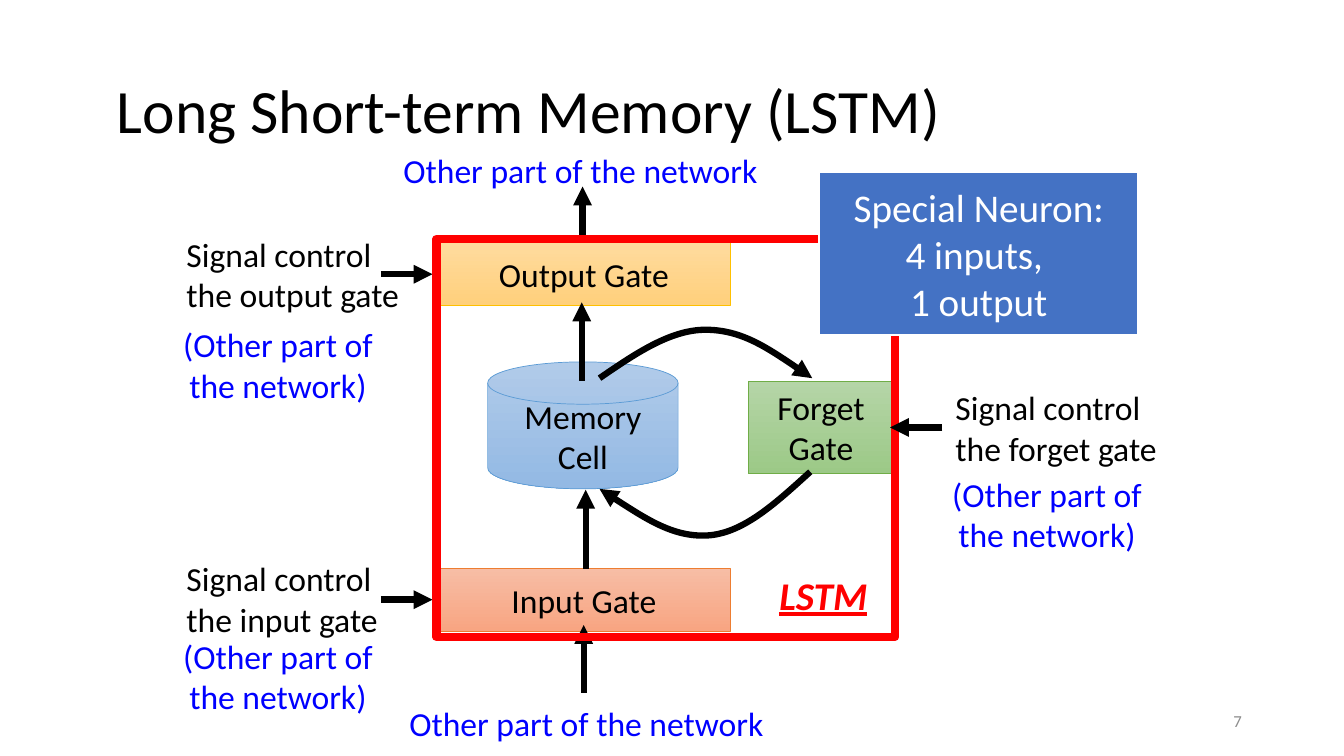
from pptx import Presentation
from pptx import util as u
from pptx.dml.color import RGBColor
from pptx.enum import shapes, text
from pptx.oxml import ns
from lxml import etree

COLOURS = {
    "ink": "000000", "white": "FFFFFF", "note": "0000FF", "frame": "FF0000",
    "neuron": "4472C4", "number": "8C8C8C",
    "blue top": "B1CBE9", "blue bottom": "93B9E4", "blue line": "5B9BD5",
    "orange top": "F7BDA5", "orange bottom": "F8A582", "orange line": "ED7D31",
    "gold top": "FFDB9E", "gold bottom": "FFD07C", "gold line": "FFC000",
    "green top": "B5D5A7", "green bottom": "9CC987", "green line": "70AD47",
}
LEFT, CENTER, RIGHT = text.PP_ALIGN.LEFT, text.PP_ALIGN.CENTER, text.PP_ALIGN.RIGHT
TOP, MIDDLE = text.MSO_ANCHOR.TOP, text.MSO_ANCHOR.MIDDLE
RECTANGLE = shapes.MSO_SHAPE.RECTANGLE
DISK = shapes.MSO_SHAPE.FLOWCHART_MAGNETIC_DISK


def colour(name):
    return RGBColor.from_string(COLOURS[name])


def lengths(values):
    return [u.Cm(value) for value in values]


class SlideBuilder:
    font = "Calibri"
    arrow_width = 4.5

    def __init__(self, slide):
        self.slide = slide

    def set_text(self, shape, words, size, ink="ink", align=LEFT, anchor=TOP):
        frame = shape.text_frame
        frame.word_wrap = True
        frame.vertical_anchor = anchor
        frame.text = words
        for paragraph in frame.paragraphs:
            paragraph.alignment = align
            for run in paragraph.runs:
                run.font.name = self.font
                run.font.size = u.Pt(size)
                run.font.color.rgb = colour(ink)
        return shape

    def title(self, words, box):
        shape = self.slide.shapes.title
        shape.left, shape.top, shape.width, shape.height = lengths(box)
        self.set_text(shape, words, 44, anchor=MIDDLE)
        shape.text_frame.auto_size = text.MSO_AUTO_SIZE.NONE
        shape.text_frame.paragraphs[0].line_spacing = 0.9

    def label(self, words, box, size=24, **style):
        shape = self.slide.shapes.add_textbox(*lengths(box))
        return self.set_text(shape, words, size, **style)

    def block(self, kind, box, line, width):
        shape = self.slide.shapes.add_shape(kind, *lengths(box))
        shape.shadow.inherit = False
        shape.fill.background()
        shape.line.color.rgb = colour(line)
        shape.line.width = u.Pt(width)
        return shape

    def gate(self, words, box, hue, kind=RECTANGLE):
        shape = self.block(kind, box, f"{hue} line", 0.5)
        shape.fill.gradient()
        shape.fill.gradient_angle = 270
        for stop, end in zip(shape.fill.gradient_stops, ("top", "bottom")):
            stop.color.rgb = colour(f"{hue} {end}")
        self.set_text(shape, words, 24, align=CENTER, anchor=MIDDLE)

    def arrow_style(self, shape):
        shape.line.color.rgb = colour("ink")
        shape.line.width = u.Pt(self.arrow_width)
        line = shape.line._get_or_add_ln()
        etree.SubElement(line, ns.qn("a:tailEnd"), type="triangle")

    def arrow(self, start, end):
        connector = self.slide.shapes.add_connector(
            shapes.MSO_CONNECTOR.STRAIGHT, *lengths(start + end))
        self.arrow_style(connector)
        etree.SubElement(connector._element.spPr, ns.qn("a:effectLst"))

    def curved_arrow(self, points):
        start, *controls = [tuple(lengths(point)) for point in points]
        builder = self.slide.shapes.build_freeform(*start)
        builder.add_line_segments(controls, close=False)
        shape = builder.convert_to_shape()
        # Each three straight segments become one cubic curve
        segments = shape._element.xpath(".//a:lnTo")
        for first in range(0, len(segments), 3):
            curve = etree.Element(ns.qn("a:cubicBezTo"))
            segments[first].addprevious(curve)
            for segment in segments[first:first + 3]:
                curve.append(segment[0])
                segment.getparent().remove(segment)
        shape.fill.background()
        self.arrow_style(shape)
        shape.shadow.inherit = False


def main():
    presentation = Presentation()
    presentation.slide_width, presentation.slide_height = lengths((33.87, 19.05))
    slide = presentation.slides.add_slide(presentation.slide_layouts[5])
    builder = SlideBuilder(slide)
    builder.title(" Long Short-term Memory (LSTM)", (2.34, 1.02, 29.21, 3.68))

    # Memory cell and gates
    builder.gate("Memory\nCell", (12.29, 9.12, 4.8, 3.2), "blue", DISK)
    builder.gate("Input Gate", (11.02, 14.33, 7.39, 1.57), "orange")
    builder.gate("Output Gate", (11.02, 6.12, 7.39, 1.57), "gold")
    builder.gate("Forget Gate", (18.85, 9.6, 3.68, 2.34), "green")

    # Control signals and where they come from
    for gate, left, top, width, note_top in (
            ("input", 4.45, 13.94, 5.79, 15.9),
            ("output", 4.45, 5.77, 6.27, 8.05),
            ("forget", 23.83, 9.63, 5.79, 11.81)):
        builder.label(f"Signal control the {gate} gate", (left, top, width, 2.31))
        builder.label("(Other part of the network)",
                      (left - 0.15, note_top, 5.41, 2.31), ink="note", align=CENTER)
    for left, top in ((9.75, 17.58), (9.6, 3.66)):
        builder.label("Other part of the network", (left, top, 10.06, 1.27),
                      ink="note", align=CENTER)

    # Arrows into, through and out of the unit
    for start, end in (
            ((9.6, 6.91), (10.9, 6.91)),
            ((9.6, 15.11), (10.9, 15.11)),
            ((14.71, 17.45), (14.71, 15.75)),
            ((14.76, 14.33), (14.76, 12.34)),
            ((14.68, 6.12), (14.68, 4.7)),
            ((14.66, 9.6), (14.66, 7.62))):
        builder.arrow(start, end)

    # Loop between the memory cell and the forget gate
    builder.curved_arrow([(15.11, 9.53), (16, 8.92), (16.89, 8.31), (17.78, 8.31),
                          (18.69, 8.31), (19.58, 8.92), (20.47, 9.53)])
    builder.curved_arrow([(20.42, 11.89), (19.58, 12.65), (18.77, 13.41), (17.88, 13.49),
                          (16.99, 13.56), (16.05, 12.93), (15.11, 12.32)])

    # Frame with its name
    builder.block(RECTANGLE, (11, 6.02, 11.56, 10.03), "frame", 6)
    name = builder.label("LSTM", (19.15, 14.27, 3.2, 1.45), 28, ink="frame", align=CENTER)
    font = name.text_frame.paragraphs[0].runs[0].font
    font.bold = font.italic = font.underline = True

    # Summary box, forget signal and page number
    neuron = builder.block(RECTANGLE, (20.65, 4.34, 8.03, 4.11), "white", 1.5)
    neuron.fill.solid()
    neuron.fill.fore_color.rgb = colour("neuron")
    builder.set_text(neuron, "Special Neuron:\n4 inputs, \n1 output", 28, "white", CENTER, MIDDLE)
    builder.arrow((23.75, 10.77), (22.43, 10.77))
    builder.label("7", (23.93, 17.65, 7.62, 1.02), 12,
                  ink="number", align=RIGHT, anchor=MIDDLE)

    presentation.save("out.pptx")


if __name__ == "__main__":
    main()
